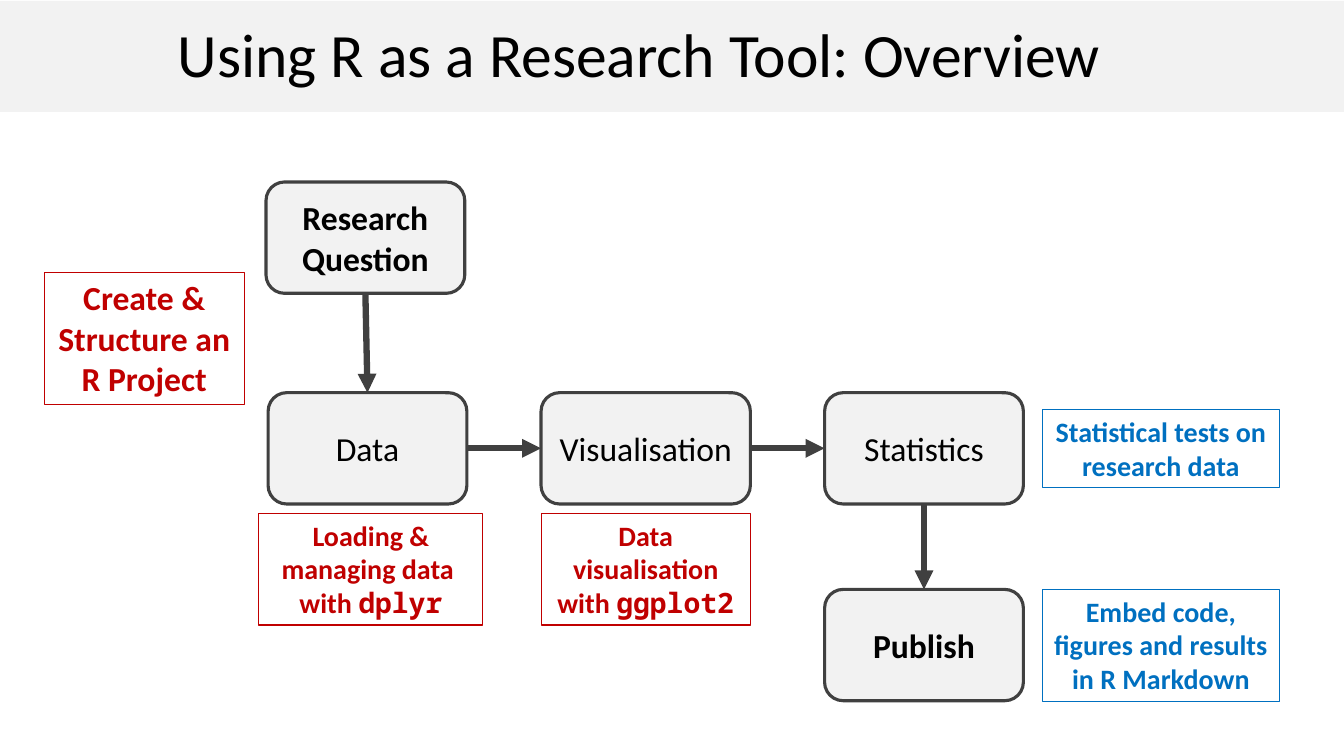
from pptx import Presentation
from pptx import util as u
from pptx.dml.color import RGBColor
from pptx.enum import shapes, text
from pptx.oxml.ns import qn
from lxml import etree

Pt = u.Pt
DARK, LIGHT, RED, BLUE = "404040", "F2F2F2", "C00000", "0070C0"


def rgb(value):
    return RGBColor.from_string(value)


def add_box(preset, place, paragraphs, size, color, bold, fill, line, weight):
    """Add a box; each paragraph is a list of (words, font) runs."""
    sp = slide.shapes.add_shape(preset, *map(Pt, place))
    sp.shadow.inherit = False
    if fill:
        sp.fill.solid()
        sp.fill.fore_color.rgb = rgb(fill)
    else:
        sp.fill.background()
    if line:
        sp.line.color.rgb = rgb(line)
        sp.line.width = Pt(weight)
    else:
        sp.line.fill.background()
    tf = sp.text_frame
    tf.word_wrap = True
    for i, runs in enumerate(paragraphs):
        p = tf.add_paragraph() if i else tf.paragraphs[0]
        p.alignment = text.PP_ALIGN.CENTER
        p.font.size = Pt(size)
        p.font.bold = bold
        p.font.color.rgb = rgb(color)
        for words, font in runs:
            r = p.add_run()
            r.text = words
            r.font.name = font
    return sp


prs = Presentation()
prs.slide_width, prs.slide_height = Pt(960), Pt(540)
slide = prs.slides.add_slide(prs.slide_layouts[6])
rect = shapes.MSO_SHAPE.RECTANGLE
rounded = shapes.MSO_SHAPE.ROUNDED_RECTANGLE
SANS, MONO = "Calibri", "Noto Sans Mono"

# Title band
add_box(rect, (0, 0.7, 960, 79.2), [], 44, "000000", False, LIGHT, None, 0)

# Workflow steps: left, top, width, bold
steps = {
    "Data": (191.5, 280.5, 142, False),
    "Visualisation": (386.5, 280.5, 149.5, False),
    "Statistics": (589, 280.5, 142, False),
    "Publish": (589, 421, 142, True),
    "Research Question": (190, 130, 142, True),
}
nodes = {}
for name, (x, y, w, bold) in steps.items():
    sp = add_box(rounded, (x, y, w, 79.5), [[(name, SANS)]], 24, "000000",
                 bold, LIGHT, DARK, 2.25)
    sp.text_frame.vertical_anchor = text.MSO_ANCHOR.MIDDLE
    nodes[name] = sp

# Arrows between steps (sites: 0 top, 1 left, 2 bottom, 3 right)
for start, start_site, end, end_site in [
    ("Data", 3, "Visualisation", 1),
    ("Visualisation", 3, "Statistics", 1),
    ("Research Question", 2, "Data", 0),
    ("Statistics", 2, "Publish", 0),
]:
    cn = slide.shapes.add_connector(shapes.MSO_CONNECTOR.STRAIGHT, 0, 0, 0, 0)
    cn.begin_connect(nodes[start], start_site)
    cn.end_connect(nodes[end], end_site)
    cn.line.color.rgb = rgb(DARK)
    cn.line.width = Pt(4.5)
    etree.SubElement(cn.line._get_or_add_ln(), qn("a:tailEnd"), type="triangle")
    etree.SubElement(cn._element.spPr, qn("a:effectLst"))

# Notes beside the steps
for place, size, color, paragraphs in [
    ((31.5, 194.5, 143, 94.5), 24, RED, [[("Create & Structure an R Project", SANS)]]),
    ((185, 366.5, 160, 80), 20, RED,
     [[("Loading & managing data ", SANS)], [("with ", SANS), ("dplyr", MONO)]]),
    ((386.5, 366.5, 149.5, 80), 20, RED,
     [[("Data visualisation with ", SANS), ("ggplot2", MONO)]]),
    ((744.5, 292.5, 169.5, 55.5), 20, BLUE,
     [[("Statistical tests on research data", SANS)]]),
    ((744.5, 421, 169.5, 80), 20, BLUE,
     [[("Embed code, figures and results in R Markdown", SANS)]]),
]:
    sp = add_box(rect, place, paragraphs, size, color, True, None, color, 0.75)
    sp.text_frame.vertical_anchor = text.MSO_ANCHOR.TOP
    sp.text_frame.auto_size = text.MSO_AUTO_SIZE.SHAPE_TO_FIT_TEXT

# Title
tf = slide.shapes.add_textbox(Pt(120), Pt(-6), Pt(720), Pt(93.6)).text_frame
tf.word_wrap = True
tf.vertical_anchor = text.MSO_ANCHOR.MIDDLE
p = tf.paragraphs[0]
p.text = "Using R as a Research Tool: Overview"
p.line_spacing = 0.9
p.font.size = Pt(44)
p.font.name = SANS
p.font.color.rgb = rgb("000000")

prs.save("out.pptx")
